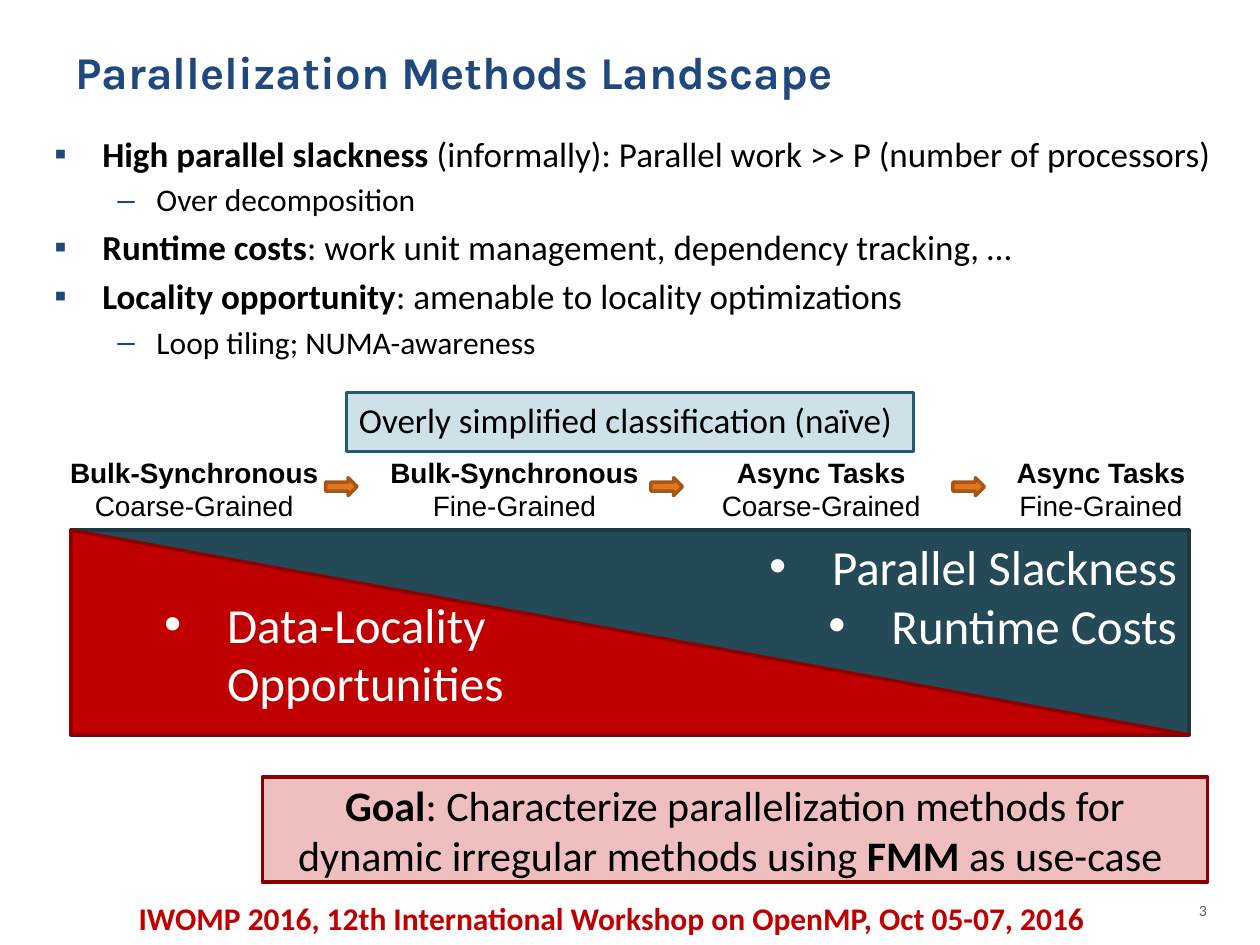
from pptx import Presentation
from pptx.dml.color import RGBColor
from pptx.enum.shapes import MSO_SHAPE as Shape
from pptx.enum.text import MSO_ANCHOR as Anchor, PP_ALIGN as Align
from pptx.oxml.ns import qn
from pptx.util import Inches, Pt
from lxml.etree import SubElement

NAVY = RGBColor(0x1F, 0x49, 0x7D)
BLACK = RGBColor(0, 0, 0)
WHITE = RGBColor(0xFF, 0xFF, 0xFF)
GRAY = RGBColor(0x5F, 0x5F, 0x5F)
RED = RGBColor(0xC0, 0, 0)
DARK_RED = RGBColor(0x8E, 0, 0)
TEAL = RGBColor(0x24, 0x4A, 0x58)
DARK_TEAL = RGBColor(0x1B, 0x37, 0x41)
BLUE = RGBColor(0x2C, 0x7C, 0x9F)
DARK_BLUE = RGBColor(0x21, 0x5C, 0x76)
ORANGE = RGBColor(0xE2, 0x75, 0x1D)
BROWN = RGBColor(0xA7, 0x57, 0x15)

prs = Presentation()
prs.slide_width, prs.slide_height = Inches(10), Inches(7.5)
s = prs.slides.add_slide(prs.slide_layouts[6])
COL, ROW = prs.slide_width / 120, prs.slide_height / 90


def add_box(grid, kind=None, fill=None, line=None, alpha=None):
    at = [int(n * unit) for n, unit in zip(grid, (COL, ROW, COL, ROW))]
    if kind is None:
        sp = s.shapes.add_textbox(*at)
    else:
        sp = s.shapes.add_shape(kind, *at)
        sp.shadow.inherit = False
        sp.fill.solid()
        sp.fill.fore_color.rgb = fill
        sp.line.color.rgb = line
        sp.line.width = Pt(2)
        if alpha:
            color = sp.fill._xPr.find(qn("a:solidFill"))[0]
            SubElement(color, qn("a:alpha"), val=str(alpha * 1000))
    sp.text_frame.word_wrap = True
    sp.text_frame.vertical_anchor = Anchor.TOP
    return sp.text_frame


def add_text(tf, runs, size, color=BLACK, font="Calibri", align=Align.LEFT,
             level=0, indent=None, bullet=None, bullet_color=None, before=0):
    p = tf.paragraphs[0]
    if p.runs:
        p = tf.add_paragraph()
        p.space_before = Pt(before)
    p.alignment, p.level = align, level
    pPr = p._p.get_or_add_pPr()
    if indent:
        for name, inches in zip(("marL", "indent"), indent):
            pPr.set(name, str(Inches(inches)))
    if bullet:
        if bullet_color:
            clr = SubElement(pPr, qn("a:buClr"))
            SubElement(clr, qn("a:srgbClr"), val=str(bullet_color))
        SubElement(pPr, qn("a:buFont"), typeface="Arial")
        SubElement(pPr, qn("a:buChar"), char=bullet)
    for text, bold in runs:
        r = p.add_run()
        r.text = text
        r.font.color.rgb = color
        for name, value in {"name": font, "size": Pt(size), "bold": bold}.items():
            setattr(r.font, name, value)


title = add_box((6, 3.6, 110, 9.4))
add_text(title, [("Parallelization Methods Landscape", True)], 26, NAVY, "Karla")

body = add_box((4, 12, 116, 25.2))
LEVELS = [
    {"size": 20, "indent": (0.38, -0.38), "bullet": "▪", "before": 4},
    {"size": 18, "indent": (0.81, -0.31), "bullet": "–", "before": 3.6},
]
for level, runs in [
    (0, [("High parallel slackness", True),
         (" (informally): Parallel work >> P (number of processors)", False)]),
    (1, [("Over decomposition", False)]),
    (0, [("Runtime costs", True),
         (": work unit management, dependency tracking, …", False)]),
    (0, [("Locality opportunity", True),
         (": amenable to locality optimizations", False)]),
    (1, [("Loop tiling; NUMA-awareness", False)]),
]:
    add_text(body, runs, level=level, bullet_color=NAVY, **LEVELS[level])

add_text(add_box((113, 85.2, 5, 4.8)), [("3", False)], 9, GRAY)

BAND = (6.75, 50.5, 106.5, 19.5)
BAND_TEXT = {"size": 28, "color": WHITE, "indent": (0.5, -0.5), "bullet": "•"}
costs = add_box(BAND, Shape.RECTANGLE, TEAL, DARK_TEAL)
for text in ("Parallel Slackness", "Runtime Costs"):
    add_text(costs, [(text, False)], align=Align.RIGHT, **BAND_TEXT)

locality = add_box(BAND, Shape.RIGHT_TRIANGLE, RED, DARK_RED)
locality.vertical_anchor = Anchor.BOTTOM
locality.margin_left = locality.margin_right = 0
add_text(locality, [("Data-Locality Opportunities", False)], **BAND_TEXT)

for left, width, method, grain in [
    (3, 31, "Bulk-Synchronous", "Coarse-Grained"),
    (34, 30, "Bulk-Synchronous", "Fine-Grained"),
    (64, 28.4, "Async Tasks", "Coarse-Grained"),
    (91.7, 26.3, "Async Tasks", "Fine-Grained"),
]:
    label = add_box((left, 42.75, width, 7.6))
    for text, bold in ((method, True), (grain, False)):
        add_text(label, [(text, bold)], 16, font="Arial", align=Align.CENTER)

for left in (31, 62, 90.75):
    add_box((left, 45.5, 3, 1.7), Shape.RIGHT_ARROW, ORANGE, BROWN)

footer = add_box((10, 85, 95, 5))
add_text(footer, [("IWOMP 2016, 12th International Workshop on OpenMP, Oct 05-07, 2016", True)],
         18, RED, align=Align.CENTER, level=1, indent=(0.5, -0.37))

naive = add_box((31 + 2, 37.4, 54, 5.6), Shape.RECTANGLE, BLUE, DARK_BLUE, 23)
add_text(naive, [("Overly simplified classification (naïve)", False)], 20)

goal = add_box((25, 74, 90, 10), Shape.RECTANGLE, RED, DARK_RED, 25)
goal.vertical_anchor = Anchor.MIDDLE
add_text(goal, [
    ("Goal", True),
    (": Characterize parallelization methods for dynamic irregular methods using ", False),
    ("FMM", True),
    (" as use-case ", False),
], 24, align=Align.CENTER)

prs.save("out.pptx")
